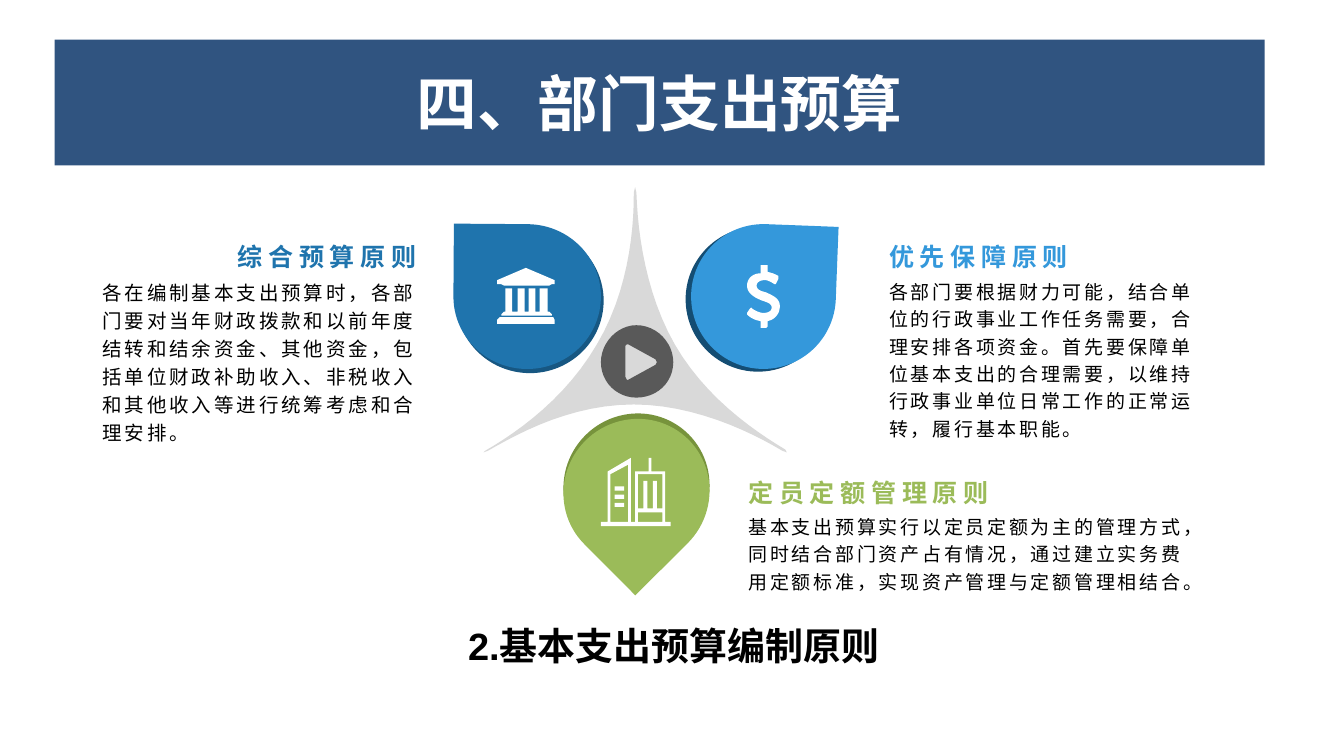
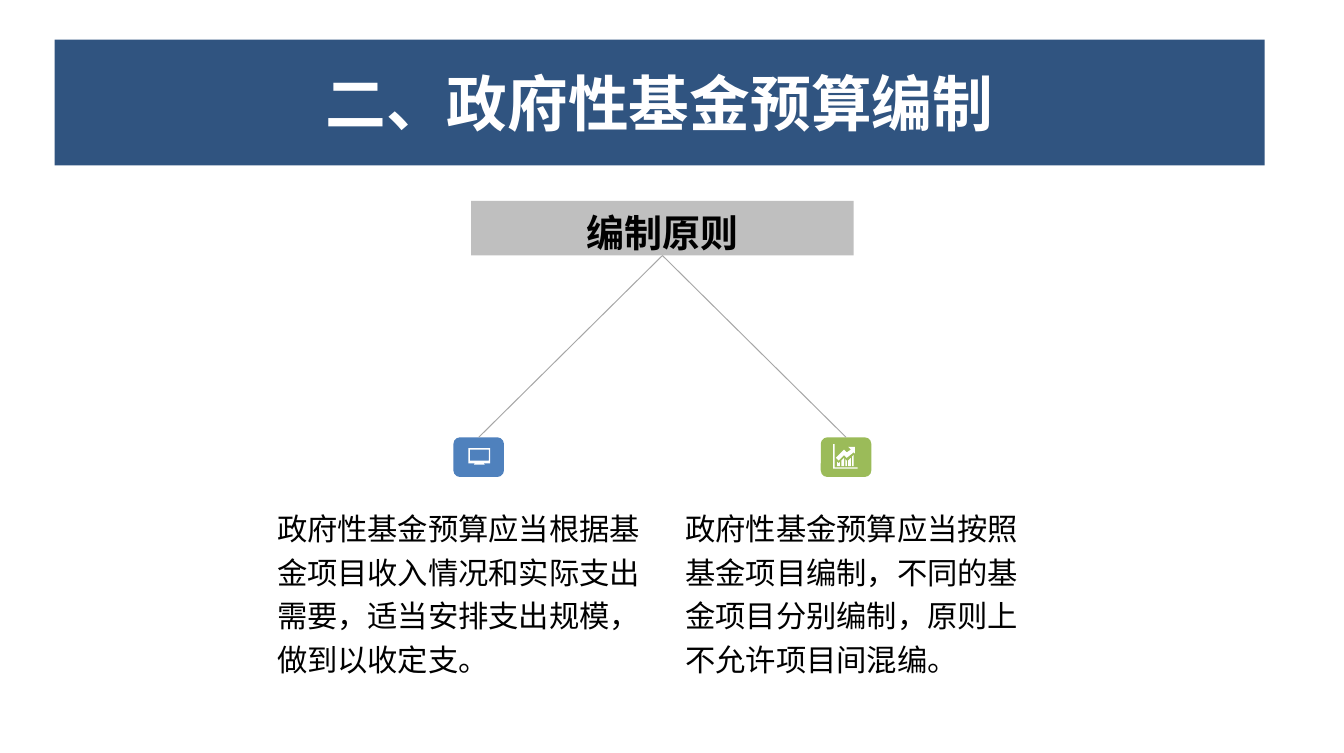
"""Build two slides on the principles of budget drafting."""
from dataclasses import dataclass

from lxml import etree
from pptx import Presentation
from pptx import util as u
from pptx.dml.color import RGBColor
from pptx.enum import shapes as es
from pptx.enum import text as et
from pptx.oxml.ns import qn

Box = tuple[float, float, float, float]
Point = tuple[float, float]


@dataclass(frozen=True)
class Theme:
    """Colours, fonts and type sizes."""
    band: str = "305480"
    white: str = "FFFFFF"
    ink: str = "000000"
    star: str = "D9D9D9"
    play: str = "595959"
    plate: str = "BFBFBF"
    line: str = "A6A6A6"
    navy: str = "1F74AD"
    sky: str = "3498DB"
    green: str = "9BBB59"
    blue: str = "4F81BD"
    cjk: str = "Noto Sans CJK SC"
    latin: str = "Calibri"
    sans: str = "Arial"
    title: float = 32
    head: float = 20
    body: float = 16
    label: float = 13.2
    note: float = 10


T = Theme()
LEFT, MID, RIGHT = et.PP_ALIGN.LEFT, et.PP_ALIGN.CENTER, et.PP_ALIGN.RIGHT
TOP, CENTER, BASE = (et.MSO_ANCHOR.TOP, et.MSO_ANCHOR.MIDDLE,
                     et.MSO_ANCHOR.BOTTOM)
WIDE: Box = (0.1, 0.05, 0.1, 0.05)


@dataclass(frozen=True)
class Rule:
    """One principle: its petal, icon and wording."""
    name: str
    note: str
    tint: str
    shade: str
    petal: Box
    under: Box
    turn: float
    icon: str
    left: float
    top: float
    wide: float
    align: et.PP_ALIGN = LEFT
    size: float = T.note


@dataclass(frozen=True)
class Branch:
    """One branch of the tree: its badge, icon and wording."""
    note: str
    tint: str
    badge: float
    icon: str
    left: float
    wide: float


STAR = """M 4.65 1.37 L 4.66 1.41 4.66 1.42 C 4.67 1.72 4.73 2.15 4.94 2.52
C 5.16 2.9 5.5 3.14 5.75 3.29 L 5.76 3.31 5.73 3.3
C 5.48 3.15 5.07 2.96 4.64 2.96 C 4.2 2.96 3.83 3.15 3.57 3.3
L 3.54 3.31 3.55 3.3 C 3.81 3.15 4.15 2.9 4.37 2.52
C 4.59 2.15 4.64 1.72 4.64 1.43 L 4.64 1.41"""
PLAY = """M 4.93 2.65 C 4.93 2.8 4.81 2.91 4.66 2.91
C 4.52 2.91 4.4 2.8 4.4 2.65 C 4.4 2.51 4.52 2.38 4.66 2.38
C 4.81 2.38 4.93 2.51 4.93 2.65
M 4.81 2.65 L 4.8 2.63 4.6 2.52 4.59 2.52 4.58 2.53 4.58 2.76 4.59 2.78
4.6 2.78 4.8 2.67"""
BANK = """M 3.64 2.05 L 3.85 1.96 4.06 2.05 4.06 2.08 4.04 2.08 4.02 2.09
3.69 2.09 3.67 2.08 3.64 2.08
M 4.06 2.34 L 4.06 2.37 3.64 2.37 3.64 2.34 3.66 2.32 4.05 2.32
R 3.7 2.11 3.75 2.28 R 3.79 2.11 3.84 2.28 R 3.87 2.11 3.92 2.28
R 3.95 2.11 4.01 2.28
M 3.69 2.28 L 4.02 2.28 4.04 2.3 4.04 2.31 3.67 2.31 3.67 2.3"""
COIN = """M 5.62 2.35 L 5.62 2.39 5.61 2.4 5.57 2.4 5.57 2.35
C 5.5 2.34 5.47 2.3 5.47 2.3 L 5.47 2.29 5.49 2.26 5.5 2.25 5.51 2.26
C 5.51 2.26 5.55 2.29 5.59 2.29 C 5.62 2.29 5.65 2.28 5.65 2.25
C 5.65 2.22 5.61 2.21 5.58 2.2 C 5.53 2.18 5.47 2.15 5.47 2.09
C 5.47 2.04 5.51 2 5.57 2 L 5.57 1.94 5.62 1.94 5.62 1.99
C 5.67 2 5.7 2.02 5.7 2.02 L 5.7 2.04 5.68 2.08 5.67 2.08
C 5.67 2.08 5.63 2.05 5.6 2.05 C 5.56 2.05 5.54 2.07 5.54 2.09
C 5.54 2.12 5.57 2.13 5.61 2.14 C 5.65 2.16 5.71 2.18 5.71 2.24
C 5.71 2.3 5.67 2.34 5.62 2.35"""
TOWER = """M 4.91 3.85 L 4.4 3.85 4.4 3.82 4.45 3.82 4.45 3.45 4.62 3.35
4.62 3.82 4.65 3.82 4.65 3.45 4.75 3.45 4.75 3.35 4.77 3.35 4.77 3.45
4.87 3.45 4.87 3.82 4.91 3.82
M 4.6 3.4 L 4.47 3.47 4.47 3.82 4.6 3.82
M 4.85 3.47 L 4.67 3.47 4.67 3.72 4.71 3.72 4.71 3.52 4.74 3.52 4.74 3.72
4.78 3.72 4.78 3.52 4.81 3.52 4.81 3.72 4.85 3.72
R 4.67 3.75 4.85 3.82 R 4.5 3.62 4.57 3.65 R 4.5 3.68 4.57 3.71
R 4.5 3.56 4.57 3.59"""
SCREEN = """M 3.48 3.39 L 3.54 3.39 3.55 3.4 3.47 3.4
R 3.44 3.29 3.58 3.37 R 3.43 3.28 3.59 3.39"""
CHART = """M 6.13 3.38 L 6.14 3.39 6.15 3.38 6.15 3.41 6.13 3.41
M 6.19 3.36 L 6.2 3.37 6.2 3.41 6.19 3.41
M 6.18 3.35 L 6.18 3.41 6.16 3.41 6.16 3.37
M 6.23 3.35 L 6.23 3.41 6.21 3.41 6.21 3.37
M 6.25 3.33 L 6.25 3.41 6.24 3.41 6.24 3.34
M 6.21 3.27 L 6.26 3.27 6.26 3.32 6.25 3.31 6.2 3.35 6.18 3.33 6.14 3.37
6.12 3.35 6.18 3.29 6.2 3.31 6.23 3.29
M 6.1 3.25 L 6.11 3.25 6.11 3.42 6.28 3.42 6.28 3.43 6.1 3.43"""

RULES = (
    Rule("综合预算原则",
         "各在编制基本支出预算时，各部门要对当年财政拨款和以前年度结转和结余资金、"
         "其他资金，包括单位财政补助收入、非税收入和其他收入等进行统筹考虑和合理安排。",
         T.navy, "175782", (3.33, 1.63, 1.06, 1.08), (3.35, 1.66, 1.06, 1.08),
         270.4, BANK, 0.68, 2.02, 2.44, RIGHT, 10.3),
    Rule("优先保障原则",
         "各部门要根据财力可能，结合单位的行政事业工作任务需要，合理安排各项资金。"
         "首先要保障单位基本支出的合理需要，以维持行政事业单位日常工作的正常运转，"
         "履行基本职能。",
         T.sky, "144D73", (5.06, 1.64, 1.06, 1.06), (5.02, 1.66, 1.06, 1.06),
         2.2, COIN, 6.44, 2.02, 2.44),
    Rule("定员定额管理原则",
         "基本支出预算实行以定员定额为主的管理方式，同时结合部门资产占有情况，"
         "通过建立实务费用定额标准，实现资产管理与定额管理相结合。",
         T.green, "77933C", (4.12, 3.07, 1.08, 1.06), (4.12, 3.03, 1.08, 1.06),
         135.1, TOWER, 5.41, 3.74, 3.46),
)
BRANCHES = (
    Branch("政府性基金预算应当根据基金项目收入情况和实际支出需要，"
           "适当安排支出规模，做到以收定支。",
           T.blue, 3.32, SCREEN, 1.93, 2.92),
    Branch("政府性基金预算应当按照基金项目编制，不同的基金项目分别编制，"
           "原则上不允许项目间混编。",
           T.green, 6.01, CHART, 4.92, 2.75),
)


def place(box: Box) -> list[u.Length]:
    """Turn inches into lengths."""
    return [u.Inches(n) for n in box]


def write(shape, text: str, *, size: float, color: str = T.ink,
          font: str = T.cjk, bold: bool = False, align=LEFT, anchor=TOP,
          pad: Box = WIDE, lead: float = 1.0, gap: float = 0) -> None:
    """Fill a shape with one formatted paragraph."""
    frame = shape.text_frame
    frame.word_wrap, frame.auto_size = True, et.MSO_AUTO_SIZE.NONE
    frame.vertical_anchor = anchor
    (frame.margin_left, frame.margin_top,
     frame.margin_right, frame.margin_bottom) = place(pad)
    para = frame.paragraphs[0]
    para.alignment, para.line_spacing = align, lead
    run = para.add_run()
    run.text = text
    run.font.size, run.font.bold, run.font.name = u.Pt(size), bold, font
    run.font.color.rgb = RGBColor.from_string(color)
    props = run.font._element
    props.set("lang", "zh-CN")
    props.set("spc", str(round(gap * 100)))
    etree.SubElement(props, qn("a:ea")).set("typeface", T.cjk)


def label(slide, text: str, box: Box, **style) -> None:
    """Add a text box."""
    write(slide.shapes.add_textbox(*place(box)), text, **style)


def paint(shape, color: str) -> None:
    """Give a shape a flat fill with no outline or shadow."""
    shape.shadow.inherit = False
    shape.fill.solid()
    shape.fill.fore_color.rgb = RGBColor.from_string(color)
    shape.line.fill.background()


def block(slide, kind, box: Box, color: str, turn: float = 0):
    """Add a flat preset shape."""
    shape = slide.shapes.add_shape(kind, *place(box))
    shape.rotation = turn
    paint(shape, color)
    return shape


def bend(pts: list[Point], steps: int = 12) -> list[Point]:
    """Sample a cubic curve after its first point."""
    out = []
    for step in range(1, steps + 1):
        t = step / steps
        mix = ((1 - t) ** 3, 3 * t * (1 - t) ** 2, 3 * t * t * (1 - t), t ** 3)
        out.append((sum(m * p[0] for m, p in zip(mix, pts)),
                    sum(m * p[1] for m, p in zip(mix, pts))))
    return out


def trace(code: str) -> list[list[Point]]:
    """Read move, line, curve and rectangle commands into outlines."""
    loops: list[list[Point]] = []
    for part in code.replace("\n", " ").replace("M", "|M").replace(
            "L", "|L").replace("C", "|C").replace("R", "|R").split("|")[1:]:
        nums = [float(n) for n in part[1:].split()]
        pts = list(zip(nums[::2], nums[1::2]))
        if part[0] == "M":
            loops.append(pts)
        elif part[0] == "L":
            loops[-1] += pts
        elif part[0] == "C":
            loops[-1] += bend([loops[-1][-1], *pts])
        else:
            (left, top), (right, low) = pts
            loops.append([(left, top), (right, top), (right, low), (left, low)])
    return loops


def draw(slide, code: str, color: str = T.white) -> None:
    """Add a flat freeform from path commands."""
    loops = [[(u.Inches(x), u.Inches(y)) for x, y in loop]
             for loop in trace(code)]
    pen = slide.shapes.build_freeform(*loops[0][0])
    for index, loop in enumerate(loops):
        if index:
            pen.move_to(*loop[0])
        pen.add_line_segments(loop[1:], close=True)
    paint(pen.convert_to_shape(), color)


def start(deck, title: str):
    """Add a slide with its title band."""
    slide = deck.slides.add_slide(deck.slide_layouts[5])
    band = slide.shapes.title
    band.left, band.top, band.width, band.height = place((0.4, 0.29, 8.86, 0.92))
    band.fill.solid()
    band.fill.fore_color.rgb = RGBColor.from_string(T.band)
    write(band, title, size=T.title, color=T.white, bold=True, align=MID,
          anchor=CENTER, pad=(0.09, 0.04, 0.09, 0.04))
    return slide


def petal(slide, rule: Rule) -> None:
    """Draw one principle."""
    drop = es.MSO_SHAPE.TEAR
    block(slide, drop, rule.under, rule.shade, rule.turn)
    block(slide, drop, rule.petal, rule.tint, rule.turn)
    draw(slide, rule.icon)
    label(slide, rule.note, (rule.left, rule.top, rule.wide, 0.51),
          size=rule.size, lead=1.2, gap=1.5, pad=(0.07, 0, 0.07, 0.04))
    label(slide, rule.name, (rule.left, rule.top - 0.35, 2.44, 0.32),
          size=T.label, color=rule.tint, bold=True, lead=1.2, gap=3,
          align=rule.align, anchor=BASE, pad=(0.07, 0.04, 0.07, 0))


def branch(slide, root, item: Branch) -> None:
    """Draw one branch and join it to the root."""
    badge = block(slide, es.MSO_SHAPE.ROUNDED_RECTANGLE,
                  (item.badge, 3.2, 0.37, 0.29), item.tint)
    link = slide.shapes.add_connector(es.MSO_CONNECTOR.STRAIGHT, 0, 0, 0, 0)
    link.begin_connect(root, 2)
    link.end_connect(badge, 0)
    link.line.color.rgb = RGBColor.from_string(T.line)
    link.line.width = u.Pt(0.5)
    etree.SubElement(link._element.spPr, qn("a:effectLst"))
    draw(slide, item.icon)
    label(slide, item.note, (item.left, 3.63, item.wide, 0.94),
          size=T.body, font=T.latin, lead=1.2)


def main() -> None:
    """Build and save the deck."""
    deck = Presentation()
    deck.slide_width, deck.slide_height = u.Inches(9.84), u.Inches(5.51)

    slide = start(deck, "四、部门支出预算")
    draw(slide, STAR, T.star)
    draw(slide, PLAY, T.play)
    for rule in RULES:
        petal(slide, rule)
    label(slide, "2.基本支出预算编制原则", (0.73, 4.51, 8.41, 0.44),
          size=T.head, font=T.sans, bold=True, align=MID)

    slide = start(deck, "二、政府性基金预算编制")
    root = block(slide, es.MSO_SHAPE.RECTANGLE, (3.45, 1.47, 2.8, 0.4), T.plate)
    write(root, "编制原则", size=T.head, font=T.latin, bold=True, align=MID,
          anchor=CENTER, lead=1.2)
    for item in BRANCHES:
        branch(slide, root, item)
    deck.save("out.pptx")


if __name__ == "__main__":
    main()
